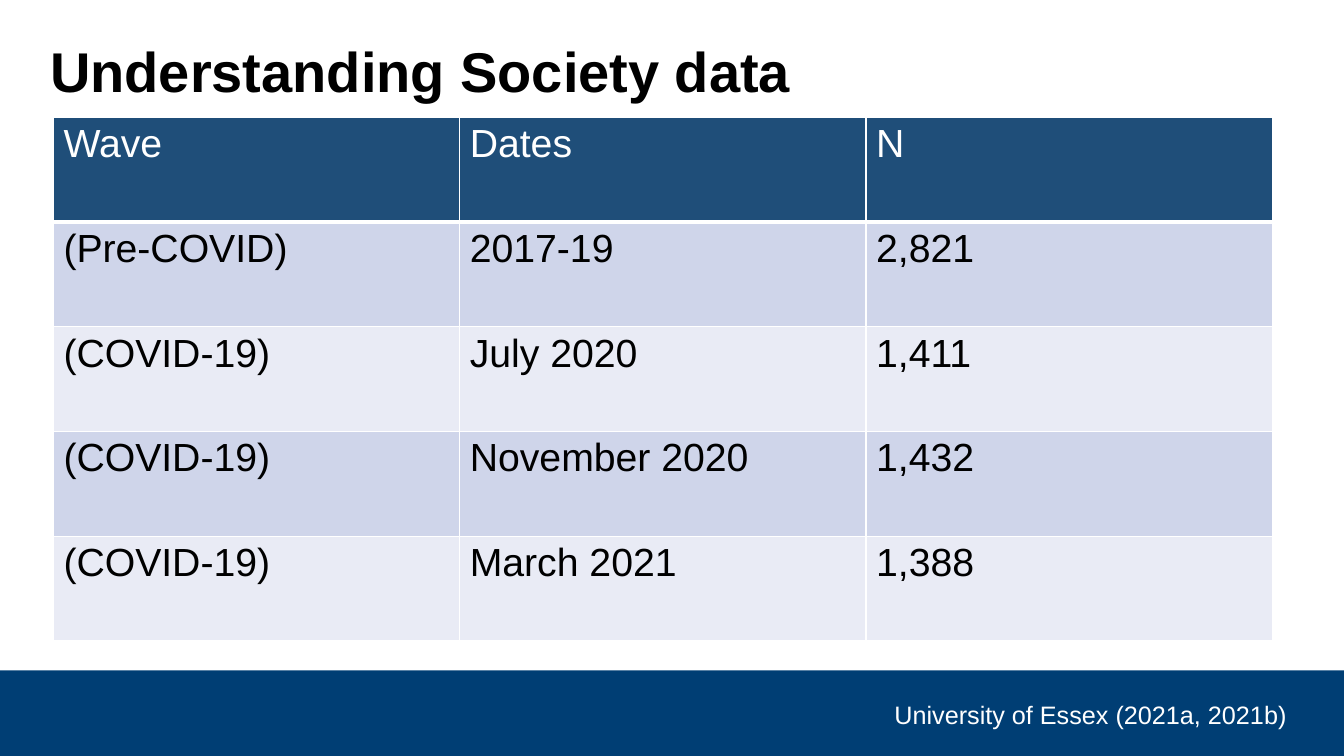
from dataclasses import dataclass

from lxml.etree import SubElement
from pptx import Presentation
from pptx.dml.color import RGBColor as Color
from pptx.enum.shapes import MSO_SHAPE as Shape
from pptx.enum.text import PP_ALIGN as Align
from pptx.oxml.ns import qn
from pptx.util import Inches, Pt


@dataclass(frozen=True)
class Theme:
    font: str = "Arial"
    title_size: int = 40
    table_size: int = 28
    source_size: int = 18
    black: str = "000000"
    white: str = "FFFFFF"
    footer: str = "003E74"
    header: str = "1F4E79"
    bands: tuple = ("CFD5EA", "E9EBF5")


THEME = Theme()
WIDTH, HEIGHT = 13.33, 7.5
TABLE_LEFT, TABLE_TOP = 0.53, 1.16
COLUMN_WIDTH, ROW_HEIGHT = 4.03, 1.04

WAVES = [
    ("Wave", "Dates", "N"),
    ("(Pre-COVID)", "2017-19", "2,821"),
    ("(COVID-19)", "July 2020", "1,411"),
    ("(COVID-19)", "November 2020", "1,432"),
    ("(COVID-19)", "March 2021", "1,388"),
]


def write(para, text, size, color, bold=False):
    span = para.add_run()
    span.text = text
    span.font.name = THEME.font
    span.font.size = Pt(size)
    span.font.bold = bold
    span.font.color.rgb = Color.from_string(color)


def add_text(page, area, text, size, color, bold=False, align=Align.LEFT, spacing=1.0):
    box = page.shapes.add_textbox(*map(Inches, area))
    box.text_frame.word_wrap = True
    para = box.text_frame.paragraphs[0]
    para.alignment = align
    para.line_spacing = spacing
    write(para, text, size, color, bold)


def add_footer_band(page, top):
    band = page.shapes.add_shape(
        Shape.RECTANGLE, 0, Inches(top), Inches(WIDTH), Inches(HEIGHT - top))
    band.shadow.inherit = False
    band.fill.solid()
    band.fill.fore_color.rgb = Color.from_string(THEME.footer)
    band.line.fill.background()


def set_borders(cell, bottom):
    """Draw white rules around a cell; call before filling it, as XML order matters."""
    properties = cell._tc.get_or_add_tcPr()
    for side, points in (("L", 1), ("R", 1), ("T", 1), ("B", bottom)):
        line = SubElement(properties, qn(f"a:ln{side}"), w=str(Pt(points)))
        fill = SubElement(line, qn("a:solidFill"))
        SubElement(fill, qn("a:srgbClr"), val=THEME.white)


def add_wave_table(page):
    rows, columns = len(WAVES), len(WAVES[0])
    table = page.shapes.add_table(
        rows, columns, Inches(TABLE_LEFT), Inches(TABLE_TOP),
        Inches(columns * COLUMN_WIDTH), Inches(rows * ROW_HEIGHT)).table
    for row, wave in enumerate(WAVES):
        is_header = row == 0
        fill = THEME.header if is_header else THEME.bands[(row - 1) % 2]
        color = THEME.white if is_header else THEME.black
        for column, text in enumerate(wave):
            cell = table.cell(row, column)
            set_borders(cell, bottom=3 if is_header else 1)
            cell.fill.solid()
            cell.fill.fore_color.rgb = Color.from_string(fill)
            write(cell.text_frame.paragraphs[0], text, THEME.table_size, color)


def main():
    deck = Presentation()
    deck.slide_width, deck.slide_height = Inches(WIDTH), Inches(HEIGHT)
    page = deck.slides.add_slide(deck.slide_layouts[6])
    add_footer_band(page, top=6.65)
    add_text(page, (0.4, 0.39, 12.37, 1), "Understanding Society data",
             THEME.title_size, THEME.black, bold=True, spacing=0.9)
    add_wave_table(page)
    add_text(page, (7.62, 6.89, 5.24, 0.4), "University of Essex (2021a, 2021b)",
             THEME.source_size, THEME.white, align=Align.RIGHT)
    deck.save("out.pptx")


if __name__ == "__main__":
    main()
